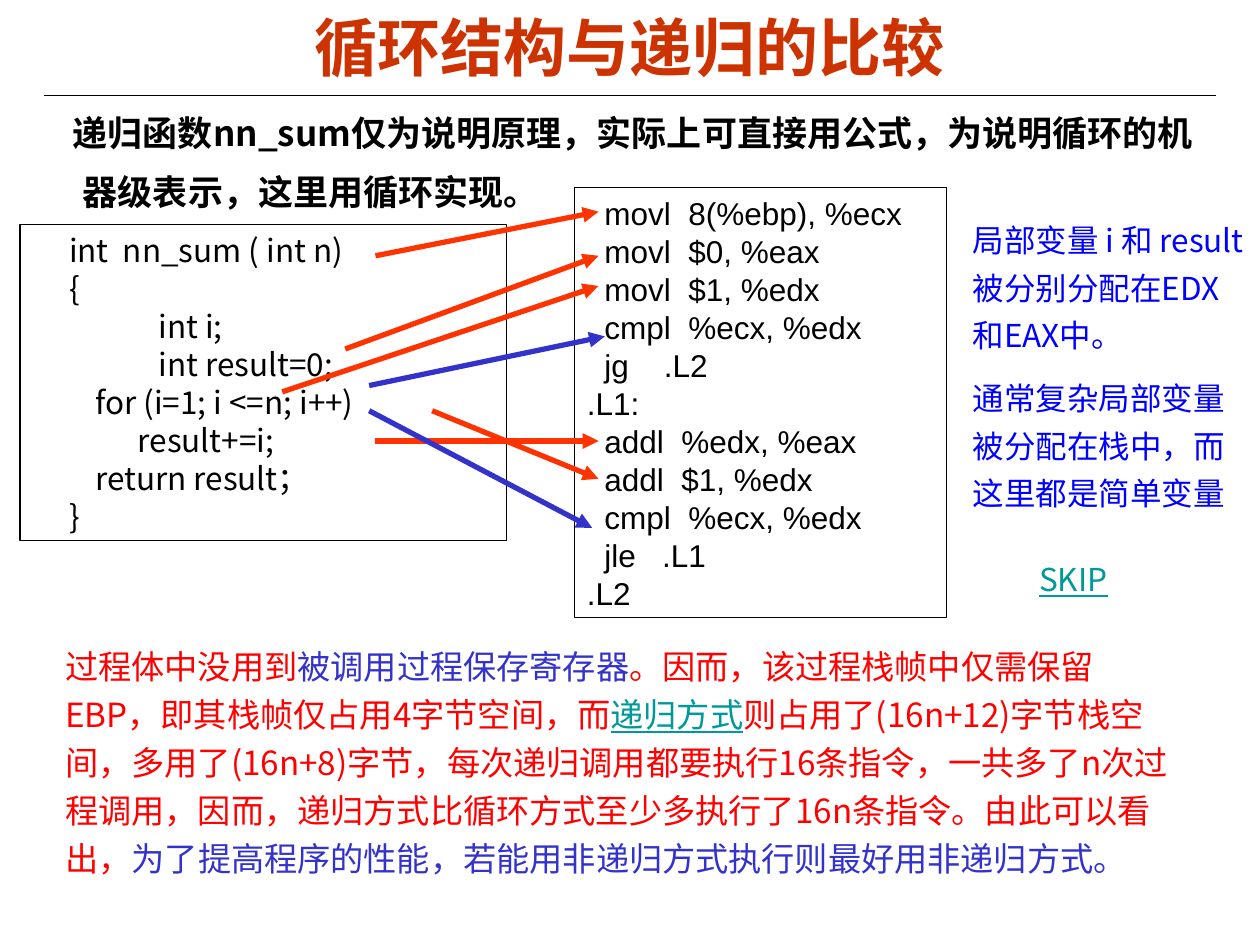
from lxml import etree
from pptx import Presentation
from pptx import util as u
from pptx.dml.color import RGBColor
from pptx.enum import shapes, text
from pptx.oxml import ns

COLUMNS, ROWS = 100, 75
WIDTH, HEIGHT = u.Inches(10), u.Inches(7.5)
SANS, LATIN = "Noto Sans CJK SC", "Arial"
BLACK, RED, BLUE, TEAL = "000000", "FF0000", "3333CC", "009999"
ORANGE = "FF3300"

SOURCE_CODE = [
    "int  nn_sum ( int n)",
    "{",
    "     \tint i;",
    "         \tint result=0;",
    "\tfor (i=1; i <=n; i++)",
    "\t      result+=i;",
    "\treturn result；",
    "}",
]
ASSEMBLY = [
    "  movl  8(%ebp), %ecx",
    "  movl  $0, %eax",
    "  movl  $1, %edx",
    "  cmpl  %ecx, %edx",
    "  jg    .L2",
    ".L1:",
    "  addl  %edx, %eax",
    "  addl  $1, %edx",
    "  cmpl  %ecx, %edx",
    "  jle   .L1",
    ".L2",
]
SIDE_NOTES = [
    "局部变量 i 和 result 被分别分配在EDX和EAX中。",
    "通常复杂局部变量被分配在栈中，而这里都是简单变量",
]
CONCLUSION = [
    ("过程体中没用到", RED),
    ("被调用过程保存寄存器", BLUE),
    ("。因而，该过程栈帧中仅需保留EBP，即其栈帧仅占用4字节空间，而", RED),
    ("递归方式", TEAL),
    ("则占用了(16n+12)字节栈空间，多用了(16n+8)字节，每次递归调用都要执行16条指令，"
     "一共多了n次过程调用，因而，递归方式比循环方式至少多执行了16n条指令。由此可以看出，", RED),
    ("为了提高程序的性能，若能用非递归方式执行则最好用非递归方式。", BLUE),
]
ARROWS = [
    (29.8, 20.3, 47.5, 16.8, ORANGE),
    (27.4, 27.7, 47.5, 20.3, ORANGE),
    (22.4, 31.1, 47.5, 22.7, ORANGE),
    (29.3, 30.6, 48, 26.7, BLUE),
    (29.8, 35, 47.5, 35, ORANGE),
    (34.3, 32.6, 47.5, 38, ORANGE),
    (29.3, 32.6, 47, 41.9, BLUE),
]


def color(value):
    """Turn a hex string into a colour."""
    return RGBColor.from_string(value)


def place(column, row, column_span, row_span):
    """Convert a grid area to left, top, width and height."""
    across, down = WIDTH / COLUMNS, HEIGHT / ROWS
    return [round(length) for length in
            (column * across, row * down, column_span * across, row_span * down)]


def add_run(paragraph, words, size, font, fill, bold=False):
    """Append one styled run; teal runs are underlined."""
    run = paragraph.add_run()
    run.text = words
    run.font.size = u.Pt(size)
    run.font.bold = bold
    run.font.underline = fill == TEAL
    run.font.color.rgb = color(fill)
    run.font.name = font
    properties = run.font._element
    etree.SubElement(properties, ns.qn("a:ea"), typeface=SANS)


def fill_text(shape, paragraphs, size, font=SANS, pitch=None, gap=0, margin=0,
              indent=0, anchor=text.MSO_ANCHOR.TOP, align=text.PP_ALIGN.LEFT, bold=False):
    """Write paragraphs, each a list of words and colour pairs."""
    frame = shape.text_frame
    frame.word_wrap = True
    frame.vertical_anchor = anchor
    for index, runs in enumerate(paragraphs):
        paragraph = frame.add_paragraph() if index else frame.paragraphs[0]
        paragraph.alignment = align
        if pitch:
            paragraph.line_spacing = u.Pt(pitch)
        paragraph.space_before = u.Pt(gap if index else 0)
        properties = paragraph._p.get_or_add_pPr()
        properties.set("marL", str(u.Inches(margin)))
        properties.set("indent", str(u.Inches(indent)))
        for words, fill in runs:
            add_run(paragraph, words, size, font, fill, bold)


def add_text(slide, area, paragraphs, size, **style):
    """Add a plain text box."""
    fill_text(slide.shapes.add_textbox(*place(*area)), paragraphs, size, **style)


def add_code(slide, area, lines, **style):
    """Add an outlined rectangle holding lines of code."""
    shape = slide.shapes.add_shape(shapes.MSO_SHAPE.RECTANGLE, *place(*area))
    shape.shadow.inherit = False
    shape.fill.background()
    shape.line.color.rgb = color(BLACK)
    shape.line.width = u.Pt(0.75)
    fill_text(shape, [[(line, BLACK)] for line in lines], 18, pitch=21.7,
              anchor=text.MSO_ANCHOR.MIDDLE, **style)


def add_line(slide, start_column, start_row, end_column, end_row, stroke, width, arrow=False):
    """Add a straight line, with an arrowhead at its end if wanted."""
    ends = place(start_column, start_row, end_column, end_row)
    line = slide.shapes.add_connector(shapes.MSO_CONNECTOR.STRAIGHT, *ends)
    line.line.color.rgb = color(stroke)
    line.line.width = u.Pt(width)
    if arrow:
        etree.SubElement(line.line._get_or_add_ln(), ns.qn("a:tailEnd"), type="triangle")
    etree.SubElement(line._element.spPr, ns.qn("a:effectLst"))


def main():
    """Build the slide comparing a loop with recursion."""
    presentation = Presentation()
    presentation.slide_width, presentation.slide_height = WIDTH, HEIGHT
    slide = presentation.slides.add_slide(presentation.slide_layouts[6])

    add_line(slide, 3.5, 7.6, 96.5, 7.6, BLACK, 0.75)
    add_text(slide, (5, 0.6, 90, 6.1), [[("循环结构与递归的比较", "CC3300")]], 36, font=LATIN,
             anchor=text.MSO_ANCHOR.MIDDLE, align=text.PP_ALIGN.CENTER, bold=True)
    introduction = "递归函数nn_sum仅为说明原理，实际上可直接用公式，为说明循环的机器级表示，这里用循环实现。"
    add_text(slide, (1.8, 7.1, 94, 10.5), [[(introduction, BLACK)]], 20, pitch=33.3,
             margin=0.38, indent=-0.08, bold=True)
    add_code(slide, (1.6, 17.8, 38.6, 25.1), SOURCE_CODE, indent=0.29)
    add_code(slide, (45.6, 14.9, 29.5, 34.1), ASSEMBLY, font=LATIN)
    add_text(slide, (4.2, 50.2, 90.1, 19.9), [CONCLUSION], 19, pitch=27.4,
             anchor=text.MSO_ANCHOR.MIDDLE)
    add_text(slide, (76.2, 16.3, 23.8, 25), [[(note, "0000FF")] for note in SIDE_NOTES], 18,
             pitch=27.1, gap=9)
    for *ends, stroke in ARROWS:
        add_line(slide, *ends, stroke, 3, arrow=True)
    add_text(slide, (81.5, 43.9, 9.4, 4), [[("SKIP", TEAL)]], 18, pitch=21.7)
    presentation.save("out.pptx")


if __name__ == "__main__":
    main()
